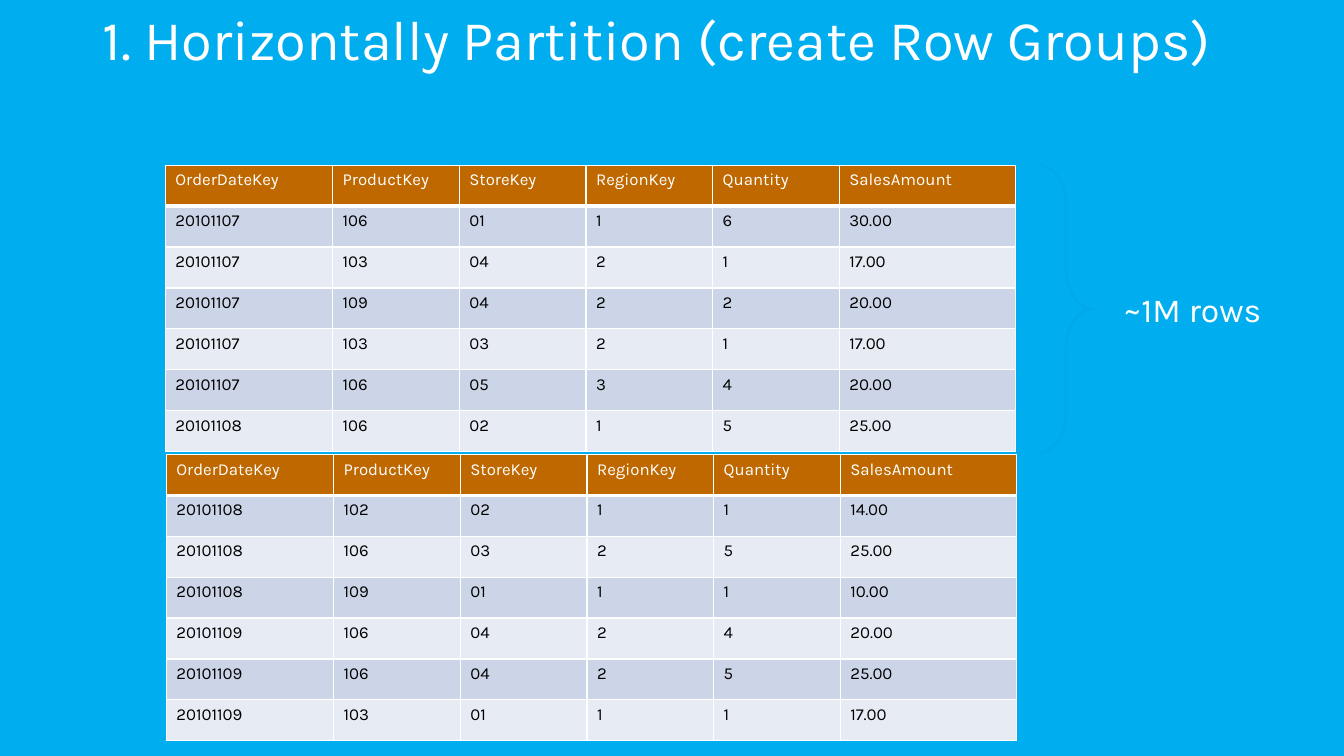
from dataclasses import dataclass

from lxml.etree import SubElement
from pptx import Presentation
from pptx.dml.color import RGBColor
from pptx.enum.shapes import MSO_SHAPE
from pptx.enum.text import MSO_ANCHOR, MSO_AUTO_SIZE, PP_ALIGN
from pptx.oxml.ns import qn
from pptx.slide import Slide
from pptx.table import _Cell as Cell
from pptx.text.text import TextFrame
from pptx.util import Pt

FONT = "Karla"
WHITE = "FFFFFF"
BLACK = "000000"
SKY = "00AEEF"
BRACE = "00AAEA"
HEAD = "BF6800"
BANDS = ("E7EBF3", "CCD5E7")
WIDTHS = (119.5, 90.5, 90.5, 90.5, 90.5, 126)
ROW = 29.2
NAMES = "OrderDateKey ProductKey StoreKey RegionKey Quantity SalesAmount"


@dataclass
class Group:
    left: float
    top: float
    rows: tuple[str, ...]


@dataclass
class Label:
    text: str
    left: float
    top: float
    width: float
    height: float
    size: float
    wrap: bool


GROUPS = (
    Group(118.1, 118.1, (
        "20101107 106 01 1 6 30.00",
        "20101107 103 04 2 1 17.00",
        "20101107 109 04 2 2 20.00",
        "20101107 103 03 2 1 17.00",
        "20101107 106 05 3 4 20.00",
        "20101108 106 02 1 5 25.00",
    )),
    Group(118.8, 324.7, (
        "20101108 102 02 1 1 14.00",
        "20101108 106 03 2 5 25.00",
        "20101108 109 01 1 1 10.00",
        "20101109 106 04 2 4 20.00",
        "20101109 106 04 2 5 25.00",
        "20101109 103 01 1 1 17.00",
    )),
)
LABELS = (
    Label("1. Horizontally Partition (create Row Groups)", 66.2, 0, 828, 104.4, 40, True),
    Label("~1M rows", 795.6, 203, 122.4, 36, 24, False),
)


def shade(code: str) -> RGBColor:
    return RGBColor.from_string(code)


def write(frame: TextFrame, text: str, size: float, code: str) -> None:
    frame.text = text
    for part in frame.paragraphs:
        part.alignment = PP_ALIGN.LEFT
        for run in part.runs:
            run.font.name = FONT
            run.font.size = Pt(size)
            run.font.bold = False
            run.font.color.rgb = shade(code)


def edge(cell: Cell, base: float) -> None:
    props = cell._tc.get_or_add_tcPr()
    for side, width in (("L", 1), ("R", 1), ("T", 1), ("B", base)):
        line = SubElement(props, qn(f"a:ln{side}"), w=str(Pt(width)))
        fill = SubElement(line, qn("a:solidFill"))
        SubElement(fill, qn("a:srgbClr"), val=WHITE)


def draw_group(slide: Slide, group: Group) -> None:
    lines = (NAMES, *group.rows)
    table = slide.shapes.add_table(
        len(lines), len(WIDTHS), Pt(group.left), Pt(group.top),
        Pt(sum(WIDTHS)), Pt(ROW * len(lines)),
    ).table
    table.first_row = False
    table.horz_banding = False
    for column, width in zip(table.columns, WIDTHS):
        column.width = Pt(width)
    for i, line in enumerate(lines):
        table.rows[i].height = Pt(ROW)
        for j, text in enumerate(line.split()):
            cell = table.cell(i, j)
            edge(cell, 1 if i else 3)
            cell.fill.solid()
            cell.fill.fore_color.rgb = shade(BANDS[i % 2] if i else HEAD)
            write(cell.text_frame, text, 12, BLACK if i else WHITE)


def draw_label(slide: Slide, label: Label) -> None:
    box = slide.shapes.add_textbox(
        Pt(label.left), Pt(label.top), Pt(label.width), Pt(label.height)
    )
    frame = box.text_frame
    frame.word_wrap = label.wrap
    frame.auto_size = MSO_AUTO_SIZE.NONE if label.wrap else MSO_AUTO_SIZE.SHAPE_TO_FIT_TEXT
    frame.vertical_anchor = MSO_ANCHOR.TOP
    write(frame, label.text, label.size, WHITE)


def draw_brace(slide: Slide) -> None:
    brace = slide.shapes.add_shape(
        MSO_SHAPE.RIGHT_BRACE, Pt(742.3), Pt(118.1), Pt(38.2), Pt(205.2)
    )
    brace.adjustments[0] = 0.76
    brace.adjustments[1] = 0.5
    brace.shadow.inherit = False
    brace.fill.background()
    brace.line.color.rgb = shade(BRACE)
    brace.line.width = Pt(2.25)


def main() -> None:
    deck = Presentation()
    deck.slide_width = Pt(960)
    deck.slide_height = Pt(540)
    slide = deck.slides.add_slide(deck.slide_layouts[6])
    slide.background.fill.solid()
    slide.background.fill.fore_color.rgb = shade(SKY)
    for group in GROUPS:
        draw_group(slide, group)
    draw_brace(slide)
    for label in LABELS:
        draw_label(slide, label)
    deck.save("out.pptx")


if __name__ == "__main__":
    main()
